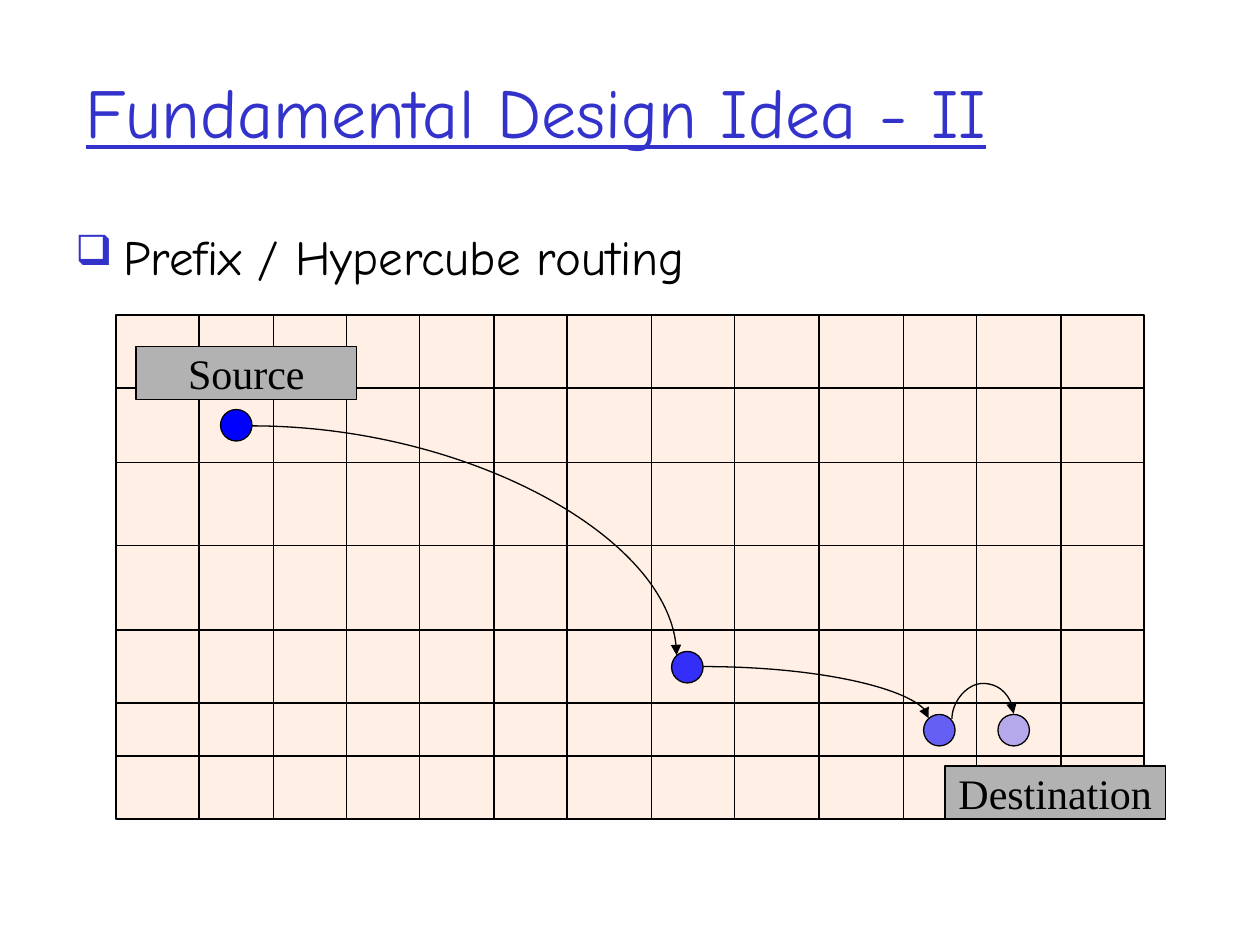
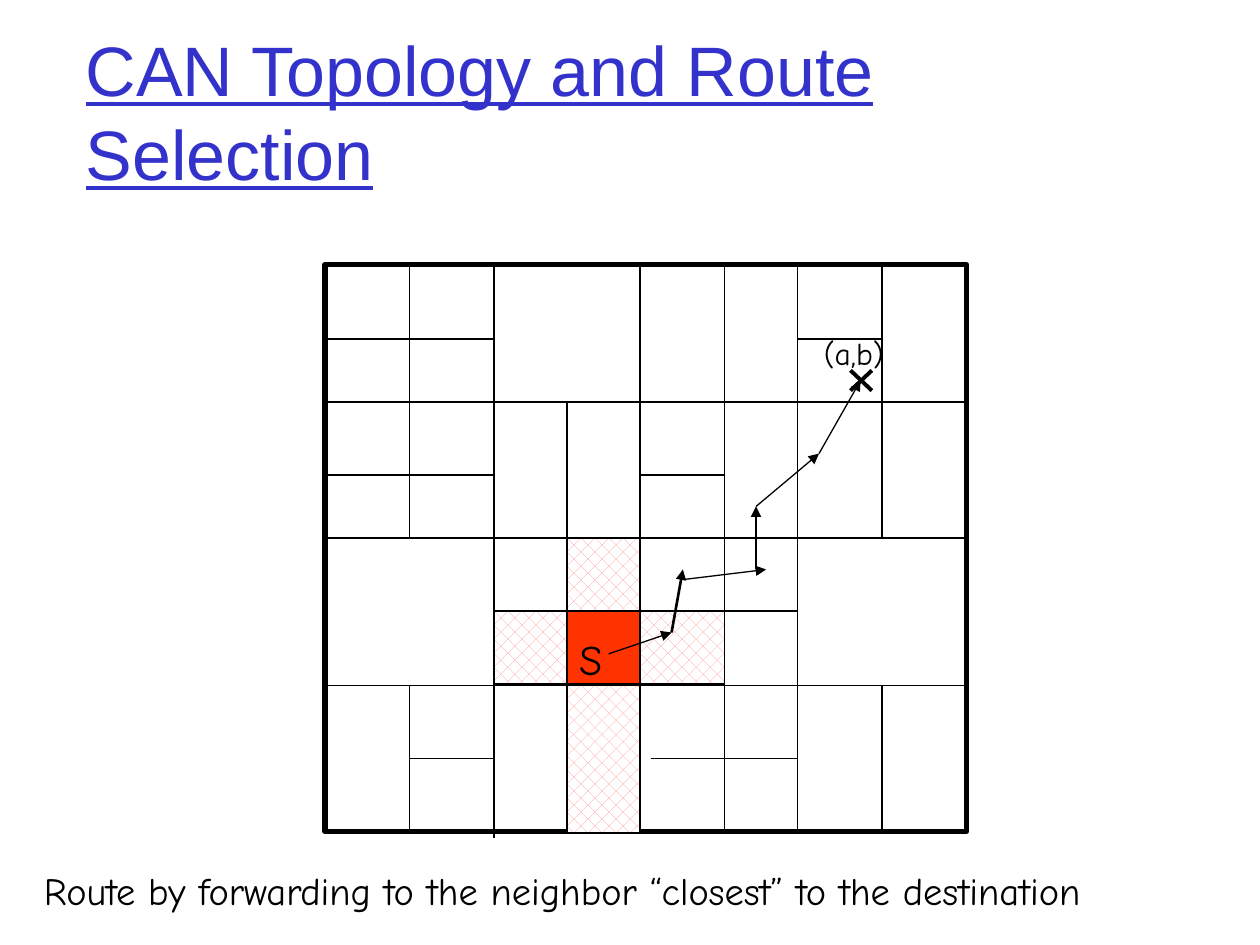
from dataclasses import dataclass

from pptx import Presentation
from pptx.dml.color import RGBColor
from pptx.enum.dml import MSO_PATTERN
from pptx.enum.shapes import MSO_CONNECTOR, MSO_SHAPE
from pptx.enum.text import MSO_ANCHOR, MSO_AUTO_SIZE, PP_ALIGN
from pptx.oxml.ns import qn
from pptx.util import Inches, Pt
from lxml.etree import SubElement


@dataclass(frozen=True)
class Theme:
    title: str = "3333CC"
    ink: str = "000000"
    paper: str = "FFFFFF"
    field: str = "FF6600"
    node: str = "0000FF"
    label: str = "B2B2B2"
    source_zone: str = "FF3300"
    neighbor_zone: str = "FF9999"
    hand: str = "Comic Neue"
    sans: str = "Arial"
    serif: str = "Times New Roman"
    title_size: float = 40
    body_size: float = 28
    label_size: float = 24
    note_size: float = 22
    small_size: float = 18
    thin: float = 0.75
    medium: float = 1.5
    bold: float = 2.25
    frame: float = 3


class Deck:
    def __init__(self, theme):
        self.t = theme
        self.prs = Presentation()
        self.prs.slide_width = Inches(10)
        self.prs.slide_height = Inches(7.5)
        self.s = None

    def run(self, p, text, size, font, color=None):
        r = p.add_run()
        r.text = text
        r.font.size = Pt(size)
        r.font.name = font
        r.font.color.rgb = RGBColor.from_string(color or self.t.ink)
        return r

    def slide(self, title, font):
        self.s = self.prs.slides.add_slide(self.prs.slide_layouts[5])
        sp = self.s.shapes.title
        sp.left, sp.top, sp.width, sp.height = map(Inches, (0.58, 0.25, 8.5, 1.25))
        tf = sp.text_frame
        tf.word_wrap = True
        tf.auto_size = MSO_AUTO_SIZE.NONE
        tf.vertical_anchor = MSO_ANCHOR.MIDDLE
        p = tf.paragraphs[0]
        p.alignment = PP_ALIGN.LEFT
        self.run(p, title, self.t.title_size, font, self.t.title).font.underline = True

    def text(self, box, text, size, wrap=False):
        tf = self.s.shapes.add_textbox(*map(Inches, box)).text_frame
        tf.word_wrap = wrap
        p = tf.paragraphs[0]
        self.run(p, text, size, self.t.hand)
        return p

    def bullet(self, box, text):
        p = self.text(box, text, self.t.body_size, wrap=True)
        ppr = p._p.get_or_add_pPr()
        ppr.set("marL", str(Inches(0.38)))
        ppr.set("indent", str(-Inches(0.38)))
        SubElement(SubElement(ppr, qn("a:buClr")), qn("a:srgbClr"), val=self.t.title)
        SubElement(ppr, qn("a:buSzPct"), val="85000")
        SubElement(ppr, qn("a:buChar"), char="❑")

    def shape(self, box, fill=None, kind=MSO_SHAPE.RECTANGLE, alpha=100, width=None):
        sp = self.s.shapes.add_shape(kind, *map(Inches, box))
        sp.shadow.inherit = False
        sp.line.color.rgb = RGBColor.from_string(self.t.ink)
        sp.line.width = Pt(width or self.t.thin)
        if fill is None:
            sp.fill.background()
            return sp
        sp.fill.solid()
        sp.fill.fore_color.rgb = RGBColor.from_string(fill)
        if alpha < 100:
            clr = sp._element.spPr.find(qn("a:solidFill")).find(qn("a:srgbClr"))
            SubElement(clr, qn("a:alpha"), val=str(alpha * 1000))
        return sp

    def hatch(self, box):
        fill = self.shape(box).fill
        fill.patterned()
        fill.pattern = MSO_PATTERN.PERCENT_25
        fill.fore_color.rgb = RGBColor.from_string(self.t.neighbor_zone)
        fill.back_color.rgb = RGBColor.from_string(self.t.paper)

    def label(self, left, top, text):
        tf = self.shape((left, top, 1.75, 0.42), self.t.label).text_frame
        tf.word_wrap = False
        tf.vertical_anchor = MSO_ANCHOR.MIDDLE
        p = tf.paragraphs[0]
        p.alignment = PP_ALIGN.CENTER
        self.run(p, text, self.t.label_size, self.t.serif)

    def line(self, x1, y1, x2, y2, width=None, arrow=False, kind=MSO_CONNECTOR.STRAIGHT):
        cx = self.s.shapes.add_connector(kind, *map(Inches, (x1, y1, x2, y2)))
        cx.line.color.rgb = RGBColor.from_string(self.t.ink)
        cx.line.width = Pt(width or self.t.thin)
        if arrow:
            SubElement(cx.line._get_or_add_ln(), qn("a:tailEnd"), type="triangle")
        SubElement(cx._element.spPr, qn("a:effectLst"))
        return cx

    def curve(self, x1, y1, x2, y2, preset="curvedConnector2", turn=0, bend=None):
        cx = self.line(x1, y1, x2, y2, arrow=True, kind=MSO_CONNECTOR.CURVE)
        sppr = cx._element.spPr
        geom = sppr.find(qn("a:prstGeom"))
        geom.set("prst", preset)
        if turn:
            sppr.find(qn("a:xfrm")).set("rot", str(turn * 60000))
        if bend:
            guides = geom.find(qn("a:avLst"))
            if guides is None:
                guides = SubElement(geom, qn("a:avLst"))
            SubElement(guides, qn("a:gd"), name="adj1", fmla=f"val {int(bend * 100000)}")


def prefix_routing(d):
    t = d.t
    d.slide("Fundamental Design Idea - II", t.hand)
    d.bullet((0.5, 1.75, 9, 0.83), "Prefix / Hypercube routing")

    left, top, right, bottom = 0.92, 2.5, 9.08, 6.5
    d.shape((left, top, right - left, bottom - top), t.field, alpha=10)
    for x in (1.58, 2.17, 2.75, 3.33, 3.92, 4.5, 5.17, 5.83, 6.5, 7.17, 7.75, 8.42):
        d.line(x, top, x, bottom)
    for y in (3.08, 3.67, 4.33, 5, 5.58, 6):
        d.line(left, y, right, y)

    for x, y, alpha in ((1.75, 3.25, 100), (5.33, 5.17, 80), (7.33, 5.67, 60), (7.92, 5.67, 29)):
        d.shape((x, y, 0.25, 0.25), t.node, MSO_SHAPE.OVAL, alpha)
    d.curve(2, 3.38, 5.37, 5.2)
    d.curve(5.58, 5.29, 7.37, 5.7)
    d.curve(7.78, 5.44, 7.82, 5.93, "curvedConnector3", turn=270, bend=7)

    d.label(1.08, 2.75, "Source")
    d.label(7.5, 6.08, "Destination")


def can_topology(d):
    t = d.t
    d.slide("CAN Topology and Route Selection", t.sans)
    left, top, right, bottom = 2.58, 2.1, 7.67, 6.6
    row1, row2, row3 = 3.19, 4.27, 5.44

    d.hatch((5.08, 4.85, 0.67, 0.58))
    d.shape((left, top, right - left, bottom - top), width=t.frame)
    for y in (row1, row2, row3):
        d.line(left, y, right, y)
    verticals = (
        (5.08, 2.08, 6.62), (6.33, top, bottom), (3.92, top, 6.65),
        (3.25, top, row1), (3.25, row1, row2), (3.25, row3, bottom),
        (4.5, row1, row2), (4.5, row2, row3), (4.5, row3, bottom),
        (5.75, top, row1), (5.75, row1, row2), (5.75, row2, 5.69), (5.75, row3, bottom),
        (7, top, row1), (7, row1, row2), (7, row3, bottom),
    )
    for x, y1, y2 in verticals:
        d.line(x, y1, x, y2)
    horizontals = (
        (2.69, left, 3.92), (2.69, 6.33, 7), (3.77, left, 3.92), (3.77, 5.08, 5.75),
        (4.85, 3.92, 5.17), (4.85, 5.75, 6.33), (6.02, 3.25, 3.92), (6.02, 5.17, 6.33),
    )
    for y, x1, x2 in horizontals:
        d.line(x1, y, x2, y)

    d.shape((4.5, 4.85, 0.58, 0.58), t.source_zone)
    for x, y, height in ((4.5, row3, 1.17), (3.92, 4.85, 0.58), (4.5, row2, 0.58)):
        d.hatch((x, y, 0.58, height))

    d.text((6.44, 2.6, 0.73, 0.4), "(a,b)", t.small_size)
    d.line(6.75, 2.94, 6.92, 3.1, t.bold)
    d.line(6.92, 2.94, 6.75, 3.1, t.bold)
    hops = (
        (4.83, 5.19, 5.33, 5.02, t.thin), (5.33, 5.02, 5.42, 4.52, t.medium),
        (5.42, 4.6, 6.08, 4.52, t.thin), (6, 4.52, 6, 4.02, t.thin),
        (6, 4.02, 6.5, 3.6, t.thin), (6.5, 3.6, 6.83, 3.02, t.thin),
    )
    for hop in hops:
        d.line(*hop, arrow=True)
    d.text((4.5, 4.98, 0.39, 0.43), "S", t.label_size)
    d.text((0.25, 6.83, 9.83, 0.83),
           "Route by forwarding to the neighbor “closest” to the destination",
           t.note_size, wrap=True)


def main():
    d = Deck(Theme())
    prefix_routing(d)
    can_topology(d)
    d.prs.save("out.pptx")


if __name__ == "__main__":
    main()
